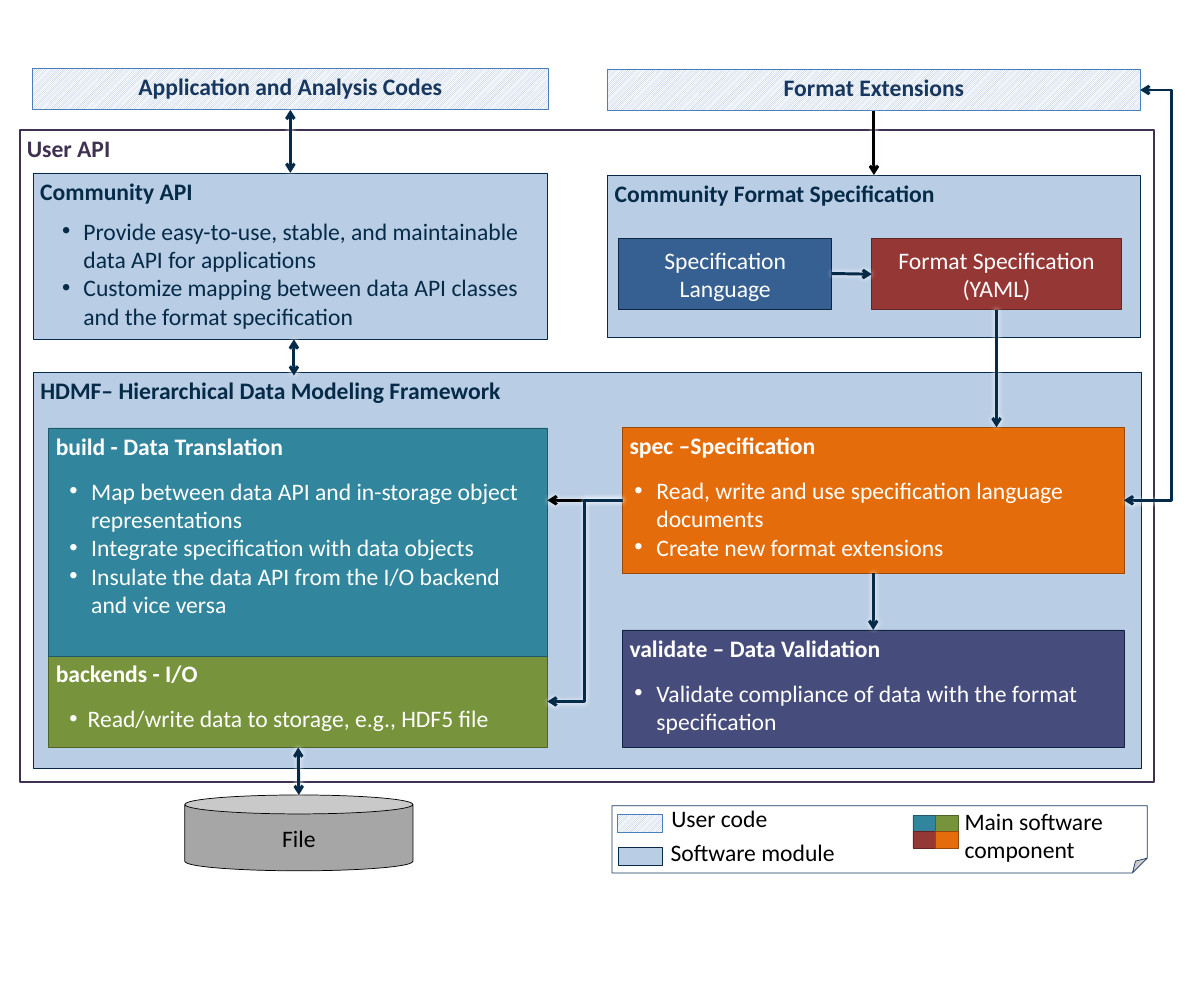
from lxml import etree
from pptx import Presentation, util as u
from pptx.dml.color import RGBColor
from pptx.enum import dml, shapes, text
from pptx.oxml.ns import qn

NAVY, BLACK, WHITE = "052B48", "000000", "FFFFFF"
MODULE = ("B9CDE5", NAVY)
USER = ("95B3D7", "4B7EBC")
TEAL, GREEN = ("31859C", "215968"), ("77933C", "4F6228")
RED, ORANGE = ("953735", "632523"), ("E46C0A", "984807")

PANELS = [
    ((0.28, 1.84, 16.01, 9.2), (WHITE, "403152"), "403152", "User API", [], {"width": 2.25}),
    ((0.47, 5.25, 15.65, 5.59), MODULE, NAVY, "HDMF– Hierarchical Data Modeling Framework", [], {}),
    ((0.47, 2.44, 7.26, 2.35), MODULE, NAVY, "Community API",
     ["Provide easy-to-use, stable, and maintainable data API for applications",
      "Customize mapping between data API classes and the format specification"],
     {"gap": 12, "indent": (0.61, 0.3)}),
    ((8.79, 6.03, 7.08, 2.06), ORANGE, WHITE, "spec –Specification",
     ["Read, write and use specification language documents", "Create new format extensions"],
     {"indent": (0.38, 0.31)}),
    ((0.69, 9.25, 7.04, 1.3), GREEN, WHITE, "backends - I/O",
     ["Read/write data to storage, e.g., HDF5 file"], {"indent": (0.45, 0.26)}),
    ((0.69, 6.04, 7.04, 3.22), TEAL, WHITE, "build - Data Translation",
     ["Map between data API and in-storage object representations",
      "Integrate specification with data objects",
      "Insulate the data API from the I/O backend and vice versa"], {"indent": (0.5, 0.31)}),
    ((8.58, 2.47, 7.52, 2.29), MODULE, NAVY, "Community Format Specification", [], {}),
    ((8.79, 8.89, 7.08, 1.66), ("464C7B", "10253F"), WHITE, "validate – Data Validation",
     ["Validate compliance of data with the format specification"], {"indent": (0.38, 0.31)}),
]
USER_BARS = [
    ((0.46, 0.96, 7.28, 0.58), "Application and Analysis Codes"),
    ((8.58, 0.98, 7.52, 0.58), "Format Extensions"),
]
CENTERED = [
    ("CAN", (2.61, 11.22, 3.22, 1.07), ("A6A6A6", BLACK), 0.75, BLACK, "File"),
    ("RECTANGLE", (8.74, 3.36, 3, 1.01), ("376092", "10253F"), 1, WHITE, "Specification Language"),
    ("RECTANGLE", (12.31, 3.37, 3.52, 1), RED, 1, WHITE, "Format Specification (YAML)"),
]
LEGEND_TEXT = [
    ((9.38, 11.3, 3.57, 0.5), "User code"),
    ((9.37, 11.77, 3.57, 0.5), "Software module"),
    ((13.52, 11.34, 2.82, 0.91), "Main software component"),
]
SWATCHES = [[TEAL, GREEN], [RED, ORANGE]]
ONE_WAY, TWO_WAY = ("tailEnd",), ("headEnd", "tailEnd")
ARROWS = [
    ((8.79, 7.06), (7.73, 7.06), BLACK, ONE_WAY, None),
    ((4.21, 10.55), (4.22, 11.22), NAVY, TWO_WAY, None),
    ((8.79, 7.06), (7.73, 9.9), NAVY, ONE_WAY, 8.26),
    ((14.07, 4.37), (14.07, 6.03), NAVY, ONE_WAY, None),
    ((4.1, 2.44), (4.1, 1.55), NAVY, TWO_WAY, None),
    ((11.74, 3.86), (12.31, 3.87), NAVY, ONE_WAY, None),
    ((16.1, 1.27), (15.87, 7.06), NAVY, TWO_WAY, 16.54),
    ((12.34, 1.56), (12.34, 2.47), BLACK, ONE_WAY, None),
    ((4.15, 4.79), (4.15, 5.3), NAVY, TWO_WAY, None),
    ((12.33, 8.09), (12.33, 8.89), NAVY, ONE_WAY, None),
]

prs = Presentation()
prs.slide_width, prs.slide_height = u.Inches(17), u.Inches(14)
s = prs.slides.add_slide(prs.slide_layouts[6])


def rgb(color):
    return RGBColor.from_string(color)


def inches(values):
    return [u.Inches(v) for v in values]


def child(parent, tag, **attrs):
    return etree.SubElement(parent, qn("a:" + tag), {k: str(v) for k, v in attrs.items()})


def adjust(sp, name, share):
    guides = sp._element.spPr.find(qn("a:prstGeom")).get_or_add_avLst()
    child(guides, "gd", name=name, fmla=f"val {round(share * 100000)}")


def add_box(at, colors, width=0.75, kind="RECTANGLE"):
    sp = s.shapes.add_shape(shapes.MSO_SHAPE[kind], *inches(at))
    sp.shadow.inherit = False
    if colors == USER:
        sp.fill.patterned()
        sp.fill.pattern = dml.MSO_PATTERN.LIGHT_UPWARD_DIAGONAL
        sp.fill.fore_color.rgb, sp.fill.back_color.rgb = rgb(colors[0]), rgb(WHITE)
    else:
        sp.fill.solid()
        sp.fill.fore_color.rgb = rgb(colors[0])
    sp.line.color.rgb = rgb(colors[1])
    sp.line.width = u.Pt(width)
    return sp


def add_line(p, words, color, bold=False, align="LEFT"):
    p.alignment = text.PP_ALIGN[align]
    r = p.add_run()
    r.text = words
    for name, value in {"name": "Calibri", "size": u.Pt(24), "bold": bold}.items():
        setattr(r.font, name, value)
    r.font.color.rgb = rgb(color)


def frame(sp, anchor="TOP"):
    tf = sp.text_frame
    tf.word_wrap = True
    tf.vertical_anchor = text.MSO_ANCHOR[anchor]
    return tf


def add_panel(at, colors, color, title, bullets, fmt):
    tf = frame(add_box(at, colors, fmt.get("width", 0.75)))
    add_line(tf.paragraphs[0], title, color, bold=True)
    for i, bullet in enumerate(bullets):
        p = tf.add_paragraph()
        add_line(p, bullet, color)
        p.space_before = u.Pt(0 if i else fmt.get("gap", 17))
        left, hang = inches(fmt["indent"])
        pPr = p._p.get_or_add_pPr()
        pPr.set("marL", str(left))
        pPr.set("indent", str(-hang))
        child(pPr, "buFont", typeface="Arial")
        child(pPr, "buChar", char="•")


def add_arrow(start, end, color, ends, bend):
    kind = shapes.MSO_CONNECTOR.ELBOW if bend else shapes.MSO_CONNECTOR.STRAIGHT
    c = s.shapes.add_connector(kind, *inches(start + end))
    c.line.color.rgb = rgb(color)
    c.line.width = u.Pt(3)
    for tag in ends:
        child(c.line._get_or_add_ln(), tag, type="arrow")
    if bend:
        adjust(c, "adj1", (bend - start[0]) / (end[0] - start[0]))
    effects = child(c._element.spPr, "effectLst")
    shadow = child(effects, "outerShdw", blurRad=u.Pt(5.8), dist=0, dir=0)
    child(shadow, "srgbClr", val=WHITE)


for panel in PANELS:
    add_panel(*panel)
for at, words in USER_BARS:
    add_line(frame(add_box(at, USER)).paragraphs[0], words, "17375E", True, "CENTER")
for kind, at, colors, width, color, words in CENTERED:
    tf = frame(add_box(at, colors, width, kind), "MIDDLE")
    add_line(tf.paragraphs[0], words, color, align="CENTER")

note = add_box((8.64, 11.37, 7.56, 0.95), (WHITE, "17375E"), kind="FOLDED_CORNER")
adjust(note, "adj", 0.22)
add_box((8.72, 11.5, 0.63, 0.25), USER)
add_box((8.73, 11.96, 0.63, 0.25), MODULE)
for row, pair in enumerate(SWATCHES):
    for col, colors in enumerate(pair):
        add_box((12.89 + 0.32 * col, 11.51 + 0.23 * row, 0.32, 0.23), colors)
for at, words in LEGEND_TEXT:
    add_line(frame(s.shapes.add_textbox(*inches(at))).paragraphs[0], words, BLACK)

for arrow in ARROWS:
    add_arrow(*arrow)

prs.save("out.pptx")
